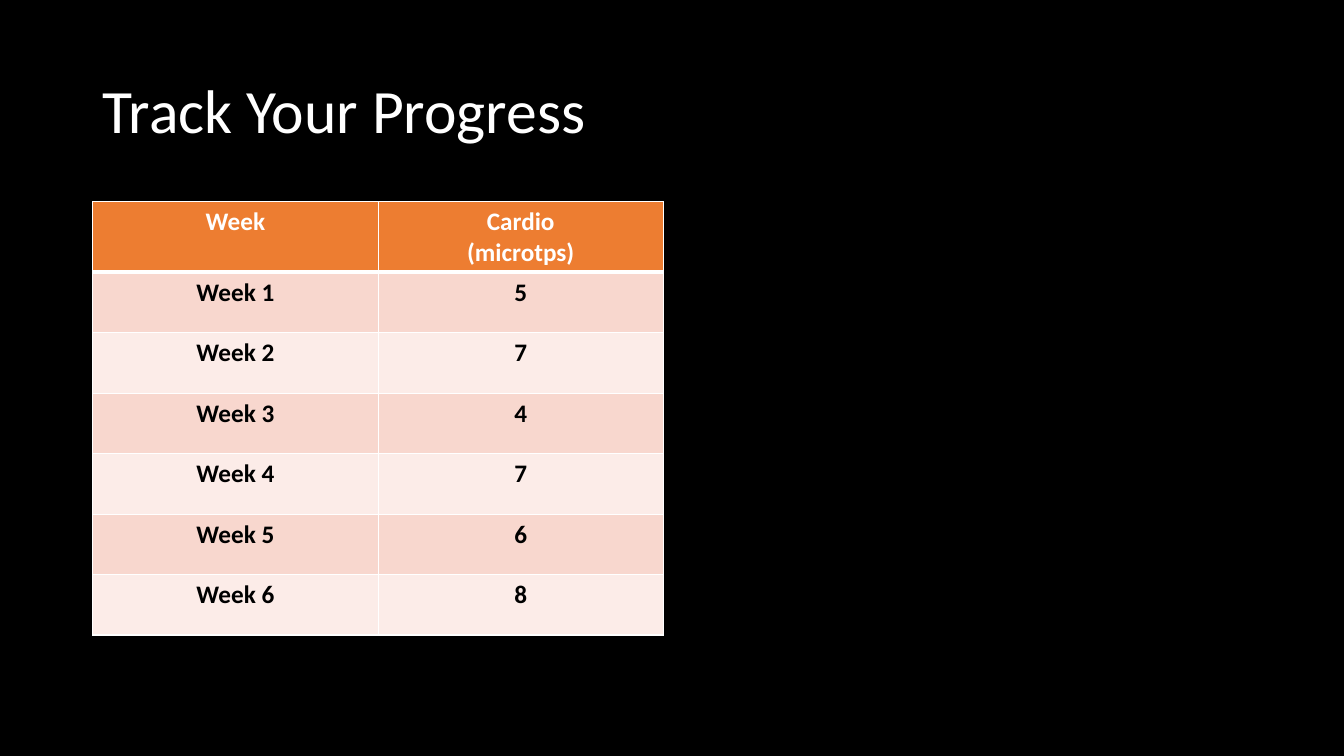
"""Build the Track Your Progress slide with its weekly cardio table."""
import pptx
import pptx.dml.color
import pptx.enum.text
import pptx.oxml
import pptx.oxml.ns
import pptx.util

Inches = pptx.util.Inches
Pt = pptx.util.Pt
RGBColor = pptx.dml.color.RGBColor

BLACK = RGBColor(0x00, 0x00, 0x00)
WHITE = RGBColor(0xFF, 0xFF, 0xFF)
ORANGE = RGBColor(0xED, 0x7D, 0x31)
BANDS = [RGBColor(0xFC, 0xEC, 0xE8), RGBColor(0xF8, 0xD7, 0xCE)]

HEADER = ["Week", "Cardio\n(microtps)"]
CARDIO = [5, 7, 4, 7, 6, 8]
HEADER_HEIGHT = 0.7
ROW_HEIGHT = 0.6
COLUMN_WIDTH = 2.83


def add_span(para, text, size, color, bold=False):
    span = para.add_run()
    span.text = text
    span.font.name = "Calibri"
    span.font.size = Pt(size)
    span.font.bold = bold
    span.font.color.rgb = color


def set_borders(cell, widths):
    properties = cell._tc.get_or_add_tcPr()
    for index, (side, width) in enumerate(widths.items()):
        border = pptx.oxml.parse_xml(
            f'<a:ln{side} {pptx.oxml.ns.nsdecls("a")} w="{Pt(width)}">'
            f'<a:solidFill><a:srgbClr val="{WHITE}"/></a:solidFill></a:ln{side}>'
        )
        properties.insert(index, border)


deck = pptx.Presentation()
deck.slide_width = Inches(13.33)
deck.slide_height = Inches(7.5)
page = deck.slides.add_slide(deck.slide_layouts[6])
page.background.fill.solid()
page.background.fill.fore_color.rgb = BLACK

title_box = page.shapes.add_textbox(Inches(0.92), Inches(0.4), Inches(11.5), Inches(1.45))
title_box.text_frame.word_wrap = True
title_box.text_frame.vertical_anchor = pptx.enum.text.MSO_ANCHOR.MIDDLE
title_para = title_box.text_frame.paragraphs[0]
title_para.line_spacing = 0.9
add_span(title_para, "Track Your Progress", 44, WHITE)

rows = [HEADER] + [[f"Week {week}", str(value)] for week, value in enumerate(CARDIO, 1)]
table = page.shapes.add_table(
    len(rows), len(HEADER), Inches(0.92), Inches(2),
    Inches(COLUMN_WIDTH * len(HEADER)),
    Inches(HEADER_HEIGHT + ROW_HEIGHT * len(CARDIO)),
).table
for column in table.columns:
    column.width = Inches(COLUMN_WIDTH)

for row_index, row in enumerate(rows):
    is_header = row_index == 0
    table.rows[row_index].height = Inches(HEADER_HEIGHT if is_header else ROW_HEIGHT)
    widths = {"L": 1, "R": 1, "T": 3 if row_index == 1 else 1, "B": 3 if is_header else 1}
    for column_index, text in enumerate(row):
        cell = table.cell(row_index, column_index)
        cell.fill.solid()
        cell.fill.fore_color.rgb = ORANGE if is_header else BANDS[row_index % 2]
        set_borders(cell, widths)
        for line_index, line in enumerate(text.split("\n")):
            frame = cell.text_frame
            para = frame.add_paragraph() if line_index else frame.paragraphs[0]
            para.alignment = pptx.enum.text.PP_ALIGN.CENTER
            add_span(para, line, 18, WHITE if is_header else BLACK, bold=True)

deck.save("out.pptx")
